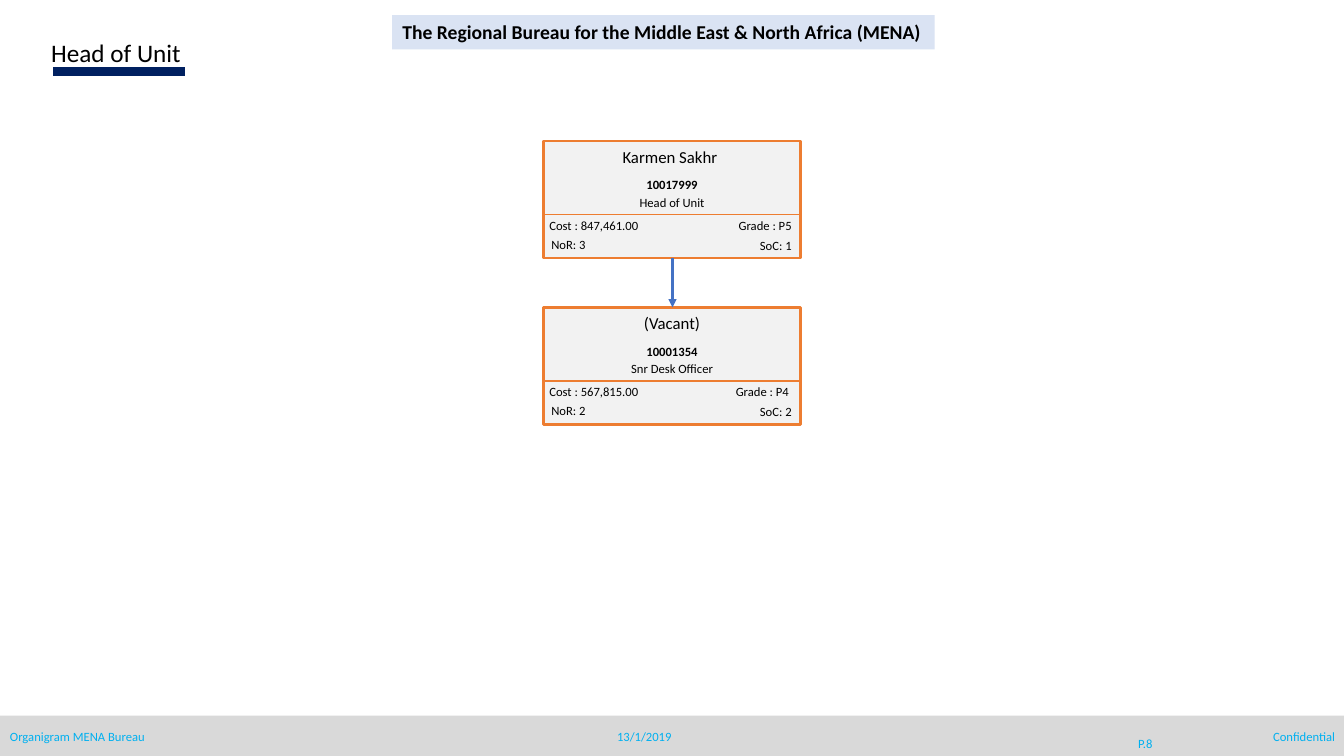
import lxml.etree
import pptx
import pptx.util
import pptx.dml.color
import pptx.enum.shapes
import pptx.enum.text
import pptx.oxml.ns

Inches = pptx.util.Inches
ALIGN = pptx.enum.text.PP_ALIGN
ANCHOR = pptx.enum.text.MSO_ANCHOR
RECTANGLE = pptx.enum.shapes.MSO_SHAPE.RECTANGLE
BLACK, SKY, ORANGE = "000000", "00B0F0", "ED7D31"
qn = pptx.oxml.ns.qn
rgb = pptx.dml.color.RGBColor.from_string

deck = pptx.Presentation()
deck.slide_width, deck.slide_height = Inches(13.33), Inches(7.5)
page = deck.slides.add_slide(deck.slide_layouts[5])


def write(text, left, top, width, height, size=9, color=BLACK, bold=False,
          align=ALIGN.LEFT, anchor=ANCHOR.TOP, wrap=True, box=None):
    """Place text in the given box, or in a new text box."""
    if box is None:
        box = page.shapes.add_textbox(0, 0, 0, 0)
    box.left, box.top = Inches(left), Inches(top)
    box.width, box.height = Inches(width), Inches(height)
    frame = box.text_frame
    frame.auto_size = pptx.enum.text.MSO_AUTO_SIZE.NONE
    frame.word_wrap = wrap
    frame.vertical_anchor = anchor
    para = frame.paragraphs[0]
    para.alignment = align
    span = para.add_run()
    span.text = text
    span.font.name = "Calibri"
    span.font.size = pptx.util.Pt(size)
    span.font.bold = bold
    span.font.color.rgb = rgb(color)


def draw_line(start, end, color, weight):
    line = page.shapes.add_connector(
        pptx.enum.shapes.MSO_CONNECTOR.STRAIGHT, *map(Inches, start + end))
    line.line.color.rgb = rgb(color)
    line.line.width = pptx.util.Pt(weight)
    lxml.etree.SubElement(line._element.spPr, qn("a:effectLst"))
    return line


# Heading
banner = page.shapes.title
banner.fill.solid()
banner.fill.fore_color.rgb = rgb("DAE3F3")
write("The Regional Bureau for the Middle East & North Africa (MENA)",
      3.89, 0.15, 5.38, 0.34, size=14, bold=True, wrap=False, box=banner)
draw_line((0.53, 0.71), (1.84, 0.71), "002060", 7)
write("Head of Unit", 0.41, 0.32, 5.3, 0.41, size=18)

# Footer
footer = page.shapes.add_shape(RECTANGLE, 0, Inches(7.1), Inches(13.33), Inches(0.4))
footer.shadow.inherit = False
footer.fill.solid()
footer.fill.fore_color.rgb = rgb("D9D9D9")
footer.line.fill.background()
write("Organigram MENA Bureau", 0, 7.18, 3.08, 0.25, color=SKY)
write("13/1/2019", 5.95, 7.18, 0.88, 0.25, color=SKY, align=ALIGN.CENTER, anchor=ANCHOR.MIDDLE)
write("P.8", 10.96, 7.18, 0.8, 0.4, color=SKY, align=ALIGN.CENTER, anchor=ANCHOR.MIDDLE)
write("Confidential", 10.26, 7.18, 3.08, 0.25, color=SKY, align=ALIGN.RIGHT)

# Position cards: top, name, name left and top, number, post, cost, grade, NoR, SoC
cards = [
    (1.4, "Karmen Sakhr", 5.37, 1.41, "10017999", "Head of Unit",
     "Cost : 847,461.00", "Grade : P5", "NoR: 3", "SoC: 1"),
    (3.05, "(Vacant)", 5.39, 3.05, "10001354", "Snr Desk Officer",
     "Cost : 567,815.00", "Grade : P4 ", "NoR: 2", "SoC: 2"),
]
card_left, card_width, card_height = 5.39, 2.55, 1.16
for top, name, name_left, name_top, number, post, cost, grade, nor, soc in cards:
    card = page.shapes.add_shape(RECTANGLE, Inches(card_left), Inches(top),
                                 Inches(card_width), Inches(card_height))
    card.shadow.inherit = False
    card.fill.solid()
    card.fill.fore_color.rgb = rgb("F2F2F2")
    card.line.color.rgb = rgb(ORANGE)
    card.line.width = pptx.util.Pt(2)
    draw_line((card_left, top + 0.73), (card_left + card_width, top + 0.73), ORANGE, 1)
    write(name, name_left, name_top, card_width, 0.3, size=12, align=ALIGN.CENTER)
    write(number, card_left, top + 0.31, card_width, 0.25, bold=True, align=ALIGN.CENTER)
    write(post, card_left, top + 0.48, card_width, 0.25, align=ALIGN.CENTER)
    write(cost, 5.35, top + 0.71, 1.4, 0.25)
    write(grade, 6.73, top + 0.71, 1.22, 0.25, align=ALIGN.RIGHT)
    write(nor, 5.37, top + 0.9, 0.78, 0.25)
    write(soc, 6.93, top + 0.91, 1.02, 0.25, align=ALIGN.RIGHT)

# Arrow from the head to the desk officer
arrow = draw_line((6.67, cards[0][0] + card_height), (6.67, cards[1][0]), "4472C4", 1.5)
outline = arrow._element.spPr.find(qn("a:ln"))
lxml.etree.SubElement(outline, qn("a:tailEnd"), type="triangle")

deck.save("out.pptx")
